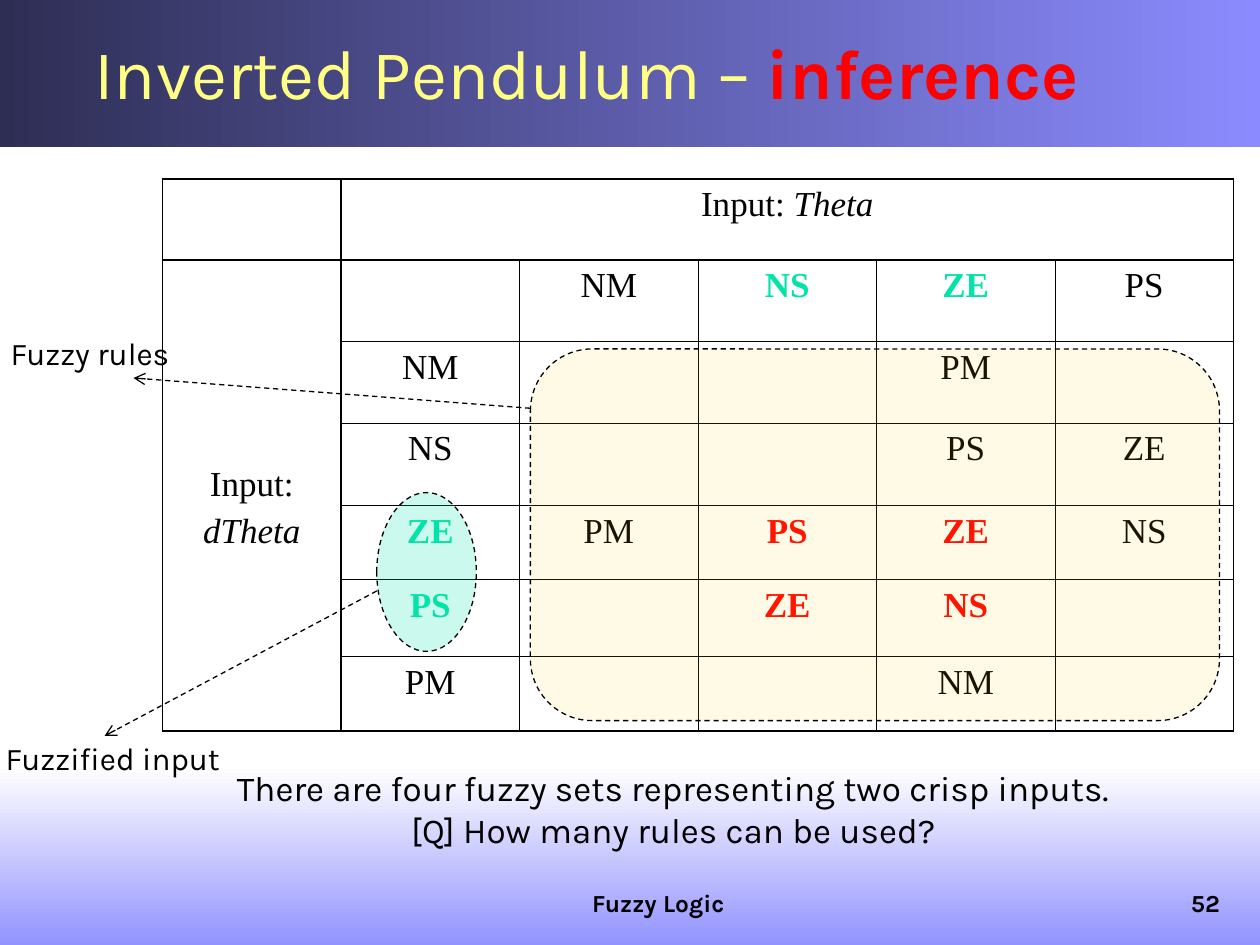
from dataclasses import dataclass

from lxml.etree import SubElement
from pptx import Presentation
from pptx.dml.color import RGBColor as RGB
from pptx.enum.dml import MSO_LINE as DASH
from pptx.enum.shapes import MSO_CONNECTOR as CONN, MSO_SHAPE as SHAPE
from pptx.enum.text import MSO_ANCHOR as ANCHOR, MSO_AUTO_SIZE as FIT, PP_ALIGN as ALIGN
from pptx.oxml.ns import qn
from pptx.util import Pt


@dataclass(frozen=True)
class Theme:
    sans: str = "Karla"
    serif: str = "Times New Roman"
    ink: str = "000000"
    title: str = "FFFF83"
    red: str = "FF0000"
    teal: str = "00E4A8"
    amber: str = "FFCF01"
    header: tuple = ("2E2E55", "8B8BFF")
    footer: tuple = ("FFFFFF", "9393FF")
    title_size: int = 40
    body_size: int = 20
    label_size: int = 18
    footer_size: int = 14
    thin: float = 0.45
    thick: float = 1.08
    dashed: float = 0.75


T = Theme()

# Rule table: one string per cell, spans are merged later
RULES = [
    ["", "", "", "", "", ""],
    ["", "", "NM", "NS", "ZE", "PS"],
    ["", "NM", "", "", "PM", ""],
    ["", "NS", "", "", "PS", "ZE"],
    ["", "ZE", "PM", "PS", "ZE", "NS"],
    ["", "PS", "", "ZE", "NS", ""],
    ["", "PM", "", "", "NM", ""],
]
ROW_HEIGHTS = [46.5, 46.5, 46.5, 47.4, 42.3, 44, 42.4]
COL_WIDTH = 102
FIRED_ROWS, FIRED_COLS = (4, 5), (3, 4)
THICK_ROW_EDGES, THICK_COL_EDGES = (0, 1, 2, 7), (0, 1, 2, 6)


def points(*values):
    return [Pt(v) for v in values]


def style_run(r, size, color=T.ink, font=T.sans, bold=False, italic=False):
    f = r.font
    f.size, f.name, f.bold, f.italic = Pt(size), font, bold, italic
    f.color.rgb = RGB.from_string(color)


def add_text(s, box, lines, size, align=ALIGN.CENTER, anchor=ANCHOR.TOP,
             wrap=False, bold=False):
    """Add a text box with one paragraph per line and return its frame."""
    tf = s.shapes.add_textbox(*points(*box)).text_frame
    tf.text = "\n".join(lines)
    tf.word_wrap, tf.vertical_anchor = wrap, anchor
    tf.auto_size = FIT.NONE if wrap else FIT.SHAPE_TO_FIT_TEXT
    for p in tf.paragraphs:
        p.alignment = align
        for r in p.runs:
            style_run(r, size, bold=bold)
    return tf


def add_band(s, box, colors, angle):
    sp = s.shapes.add_shape(SHAPE.RECTANGLE, *points(*box))
    sp.shadow.inherit = False
    sp.line.fill.background()
    sp.fill.gradient()
    sp.fill.gradient_angle = angle
    for stop, color, position in zip(sp.fill.gradient_stops, colors, (0, 1)):
        stop.color.rgb = RGB.from_string(color)
        stop.position = position


def dash_line(line):
    line.color.rgb = RGB.from_string(T.ink)
    line.width = Pt(T.dashed)
    line.dash_style = DASH.DASH


def add_highlight(s, kind, box, color, opacity):
    sp = s.shapes.add_shape(kind, *points(*box))
    sp.shadow.inherit = False
    sp.fill.solid()
    sp.fill.fore_color.rgb = RGB.from_string(color)
    rgb = sp._element.spPr.find(qn("a:solidFill"))[0]
    SubElement(rgb, qn("a:alpha"), val=str(opacity * 1000))
    dash_line(sp.line)


def add_arrow(s, start, end):
    cx = s.shapes.add_connector(CONN.STRAIGHT, *points(*start, *end))
    dash_line(cx.line)
    spPr = cx._element.spPr
    SubElement(spPr.find(qn("a:ln")), qn("a:tailEnd"), type="arrow")
    SubElement(spPr, qn("a:effectLst"))


def set_border(cell, row, col):
    tcPr = cell._tc.get_or_add_tcPr()
    edges = (("L", col in THICK_COL_EDGES), ("R", col + 1 in THICK_COL_EDGES),
             ("T", row in THICK_ROW_EDGES), ("B", row + 1 in THICK_ROW_EDGES))
    for side, is_thick in edges:
        width = Pt(T.thick if is_thick else T.thin)
        ln = SubElement(tcPr, qn(f"a:ln{side}"), w=str(width))
        fill = SubElement(ln, qn("a:solidFill"))
        SubElement(fill, qn("a:srgbClr"), val=T.ink)


def fill_cell(cell, lines):
    """Write lines of (text, font options) runs into a cell."""
    tf = cell.text_frame
    for i, runs in enumerate(lines):
        p = tf.add_paragraph() if i else tf.paragraphs[0]
        p.alignment = ALIGN.CENTER
        if i:
            p.space_before = Pt(5)
        for text, options in runs:
            r = p.add_run()
            r.text = text
            style_run(r, T.body_size, font=T.serif, **options)


def rule_style(row, col):
    """Fired inputs are teal, the rules where they cross are red."""
    in_row, in_col = row in FIRED_ROWS, col in FIRED_COLS
    if in_row and in_col:
        return {"color": T.red, "bold": True}
    if (in_row and col == 1) or (in_col and row == 1):
        return {"color": T.teal, "bold": True}
    return {}


def add_rule_table(s, left, top):
    n_rows, n_cols = len(RULES), len(RULES[0])
    box = points(left, top, COL_WIDTH * n_cols, sum(ROW_HEIGHTS))
    table = s.shapes.add_table(n_rows, n_cols, *box).table
    table.first_row = table.horz_banding = False
    for column in table.columns:
        column.width = Pt(COL_WIDTH)
    for row, height in zip(table.rows, ROW_HEIGHTS):
        row.height = Pt(height)

    theta, d_theta = table.cell(0, 1), table.cell(1, 0)
    theta.merge(table.cell(0, n_cols - 1))
    d_theta.merge(table.cell(n_rows - 1, 0))

    for i, row in enumerate(RULES):
        for j, text in enumerate(row):
            cell = table.cell(i, j)
            if not cell.is_spanned:
                set_border(cell, i, j)
            cell.fill.background()
            if text:
                fill_cell(cell, [[(text, rule_style(i, j))]])

    fill_cell(theta, [[("Input: ", {}), ("Theta", {"italic": True})]])
    fill_cell(d_theta, [[("Input:", {})], [("dTheta", {"italic": True})]])
    d_theta.margin_top = Pt(117)


def main():
    prs = Presentation()
    prs.slide_width, prs.slide_height = points(720, 540)
    s = prs.slides.add_slide(prs.slide_layouts[6])

    # Background bands and footer
    add_band(s, (0, 437.8, 720, 102.2), T.footer, 270)
    add_band(s, (0, 0, 720, 84.2), T.header, 0)
    add_text(s, (262.1, 491.8, 228.2, 36), ["Fuzzy Logic"], T.footer_size,
             anchor=ANCHOR.BOTTOM, wrap=True, bold=True)
    add_text(s, (554.4, 491.8, 149.8, 36), ["52"], T.footer_size,
             align=ALIGN.RIGHT, anchor=ANCHOR.BOTTOM, wrap=True, bold=True)

    # Title
    tf = add_text(s, (46.8, 7.2, 613.4, 61.2), ["Inverted Pendulum – "], T.title_size,
                  align=ALIGN.LEFT, anchor=ANCHOR.BOTTOM, wrap=True)
    p = tf.paragraphs[0]
    style_run(p.runs[0], T.title_size, T.title)
    r = p.add_run()
    r.text = "inference"
    style_run(r, T.title_size, T.red, bold=True)

    # Rule table and question
    add_rule_table(s, 92.9, 102.2)
    add_text(s, (118.1, 434.2, 533.5, 55.4),
             ["There are four fuzzy sets representing two crisp inputs.",
              "[Q] How many rules can be used?"], T.body_size)

    # Fuzzified input callout
    add_highlight(s, SHAPE.OVAL, (215.3, 281.5, 56.9, 90.7), T.teal, 20)
    add_arrow(s, (215.3, 337.7), (59.8, 420.5))
    add_text(s, (-4.3, 419, 137.5, 28.8), ["Fuzzified input"], T.label_size)

    # Fuzzy rules callout
    add_highlight(s, SHAPE.ROUNDED_RECTANGLE, (303.1, 199.4, 393.8, 212.4), T.amber, 10)
    add_arrow(s, (303.1, 233.3), (76.3, 216))
    add_text(s, (-2.2, 187.2, 107.3, 28.8), ["Fuzzy rules"], T.label_size)

    prs.save("out.pptx")


if __name__ == "__main__":
    main()
